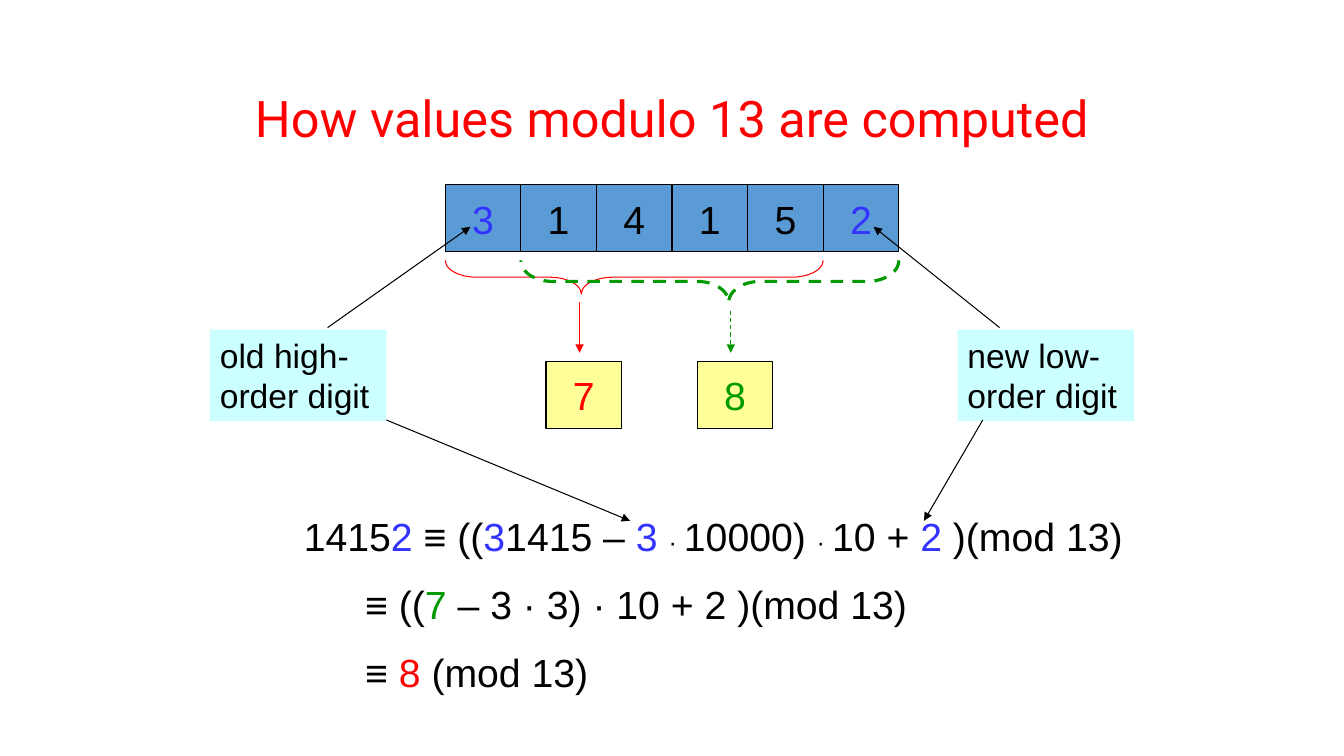
from dataclasses import dataclass

import pptx
import pptx.chart
import pptx.dml.color
import pptx.enum.dml
import pptx.enum.shapes
import pptx.enum.text
import pptx.oxml
import pptx.util
from lxml import etree

SHAPES = pptx.enum.shapes.MSO_SHAPE
ALIGN = pptx.enum.text.PP_ALIGN
ANCHOR = pptx.enum.text.MSO_ANCHOR
DASH = pptx.enum.dml.MSO_LINE.DASH


@dataclass(frozen=True)
class Theme:
    title_font: str = "Roboto"
    font: str = "Arial"
    title_size: float = 36
    size: float = 28
    note_size: float = 24
    dot_size: float = 18
    black: str = "000000"
    red: str = "FF0000"
    green: str = "009900"
    blue: str = "3333FF"
    digit_fill: str = "5B9BD5"
    value_fill: str = "FFFF99"
    note_fill: str = "CCFFFF"
    thin: float = 0.75
    thick: float = 2.25
    gap: float = 15


T = Theme()
COLUMNS, ROWS = 160, 90
WIDTH, HEIGHT = pptx.util.Inches(13.33), pptx.util.Inches(7.5)
CELL_W, CELL_H = 9, 8
DIGITS_X, DIGITS_Y = 53, 22
BRACE_Y, VALUE_Y = 31, 43


def grid(*lengths):
    """Turn alternating columns and rows into slide lengths."""
    units = (WIDTH / COLUMNS, HEIGHT / ROWS)
    return [round(n * units[i % 2]) for i, n in enumerate(lengths)]


def rgb(color):
    return pptx.dml.color.RGBColor.from_string(color)


def style_font(font, color, size=T.size, name=T.font):
    font.name, font.size = name, pptx.util.Pt(size)
    font.color.rgb = rgb(color)


def style_line(line, color, width=T.thin, dash=None):
    line.color.rgb = rgb(color)
    line.width = pptx.util.Pt(width)
    if dash:
        line.dash_style = dash


def add_title(s, text):
    title = s.shapes.title
    title.left, title.top, title.width, title.height = grid(29, 8.4, 102, 12)
    tf = title.text_frame
    tf.text = text
    tf.auto_size = pptx.enum.text.MSO_AUTO_SIZE.NONE
    tf.vertical_anchor = ANCHOR.MIDDLE
    p = tf.paragraphs[0]
    p.alignment, p.line_spacing = ALIGN.CENTER, 0.9
    style_font(p.runs[0].font, T.red, T.title_size, T.title_font)


def add_box(s, box, fill, text, color, size=T.size):
    sp = s.shapes.add_shape(SHAPES.RECTANGLE, *grid(*box))
    sp.shadow.inherit = False
    sp.fill.solid()
    sp.fill.fore_color.rgb = rgb(fill)
    sp.text_frame.text = text
    style_font(sp.text_frame.paragraphs[0].runs[0].font, color, size)
    return sp


def add_digit(s, x, y, fill, text, color):
    sp = add_box(s, (x, y, CELL_W, CELL_H), fill, text, color)
    style_line(sp.line, T.black)
    sp.text_frame.word_wrap = False
    sp.text_frame.vertical_anchor = ANCHOR.MIDDLE
    sp.text_frame.paragraphs[0].alignment = ALIGN.CENTER


def add_note(s, x, text):
    sp = add_box(s, (x, 39.25, 21, 10.9), T.note_fill, text, T.black, T.note_size)
    sp.line.fill.background()
    sp.text_frame.word_wrap = True
    sp.text_frame.vertical_anchor = ANCHOR.TOP
    sp.text_frame.paragraphs[0].alignment = ALIGN.LEFT


def add_brace(s, x, depth, adjustments, color, width=T.thin, dash=None):
    """Draw a brace that opens upwards under five digits, from column x."""
    left, top, span, deep = grid(x, BRACE_Y, 5 * CELL_W, depth)
    sp = s.shapes.add_shape(SHAPES.LEFT_BRACE, left + (span - deep) // 2,
                            top + (deep - span) // 2, deep, span)
    sp.rotation = 270
    sp.shadow.inherit = False
    sp.fill.background()
    style_line(sp.line, color, width, dash)
    for i, value in enumerate(adjustments):
        sp.adjustments[i] = value


def add_arrow(s, start, end, color=T.black, dash=None):
    c = s.shapes.add_connector(pptx.enum.shapes.MSO_CONNECTOR.STRAIGHT,
                               *grid(*start, *end))
    style_line(c.line, color, dash=dash)
    qn = pptx.oxml.ns.qn
    etree.SubElement(c.line._get_or_add_ln(), qn("a:tailEnd"), type="triangle")
    etree.SubElement(c._element.spPr, qn("a:effectLst"))


def add_equations(s, equations):
    """Write one paragraph per equation, from (text, colour, size) parts."""
    tf = s.shapes.add_textbox(*grid(35, 60.4, 104, 23.9)).text_frame
    tf.word_wrap = True
    for i, parts in enumerate(equations):
        p = tf.add_paragraph() if i else tf.paragraphs[0]
        if i:
            p.space_before = pptx.util.Pt(T.gap)
        for text, *style in parts:
            r = p.add_run()
            r.text = text
            style_font(r.font, *(style or [T.black]))


def main():
    prs = pptx.Presentation()
    prs.slide_width, prs.slide_height = WIDTH, HEIGHT
    s = prs.slides.add_slide(prs.slide_layouts[5])
    add_title(s, "How values modulo 13 are computed")

    digits = "314152"
    for i, digit in enumerate(digits):
        color = T.blue if i in (0, len(digits) - 1) else T.black
        add_digit(s, DIGITS_X + i * CELL_W, DIGITS_Y, T.digit_fill, digit, color)
    add_digit(s, 65, VALUE_Y, T.value_fill, "7", T.red)
    add_digit(s, 83, VALUE_Y, T.value_fill, "8", T.green)

    add_brace(s, DIGITS_X, 4, (0.94, 0.36), T.red)
    add_brace(s, DIGITS_X + CELL_W, 5, (0.75, 0.55), T.green, T.thick, DASH)
    add_arrow(s, (69, 36), (69, 42), T.red)
    add_arrow(s, (87, 37), (87, 42), T.green, DASH)

    dot = ("· ", T.black, T.dot_size)
    add_equations(s, [
        [("1415",), ("2 ", T.blue), ("≡ ((",), ("3", T.blue), ("1415 – ",),
         ("3 ", T.blue), dot, ("10000) ",), dot, ("10 + ",), ("2", T.blue),
         (" )(mod 13)",)],
        [("\t ≡ ((",), ("7", T.green), (" – 3 · 3) · 10 + 2 )(mod 13)",)],
        [("\t ≡ ",), ("8", T.red), (" (mod 13)",)],
    ])

    add_note(s, 25, "old high-order digit")
    add_note(s, 114, "new low-order digit")
    for start, end in [((39, 39), (56, 27)), ((46, 50), (75, 62)),
                       ((119, 39), (104, 27)), ((117, 50), (110, 62))]:
        add_arrow(s, start, end)
    prs.save("out.pptx")


if __name__ == "__main__":
    main()
